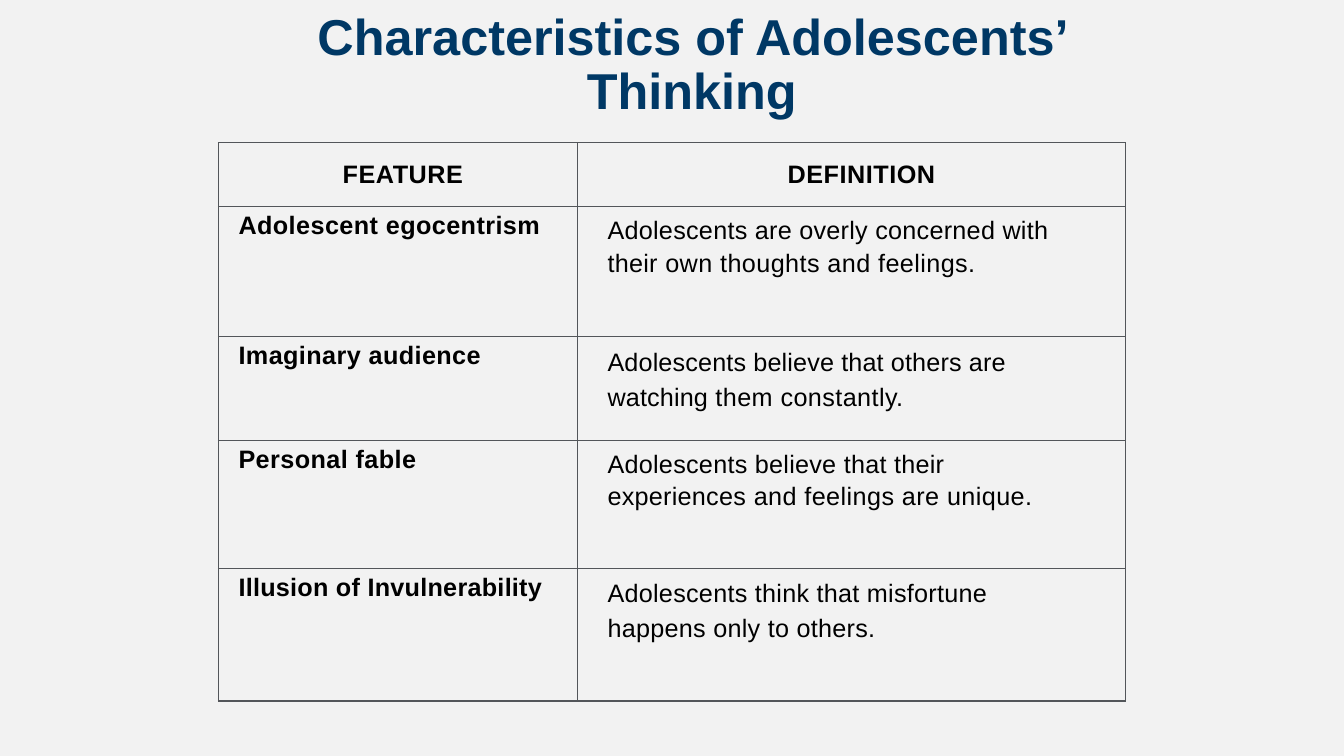
from lxml import etree
from pptx import Presentation
from pptx import util as u
from pptx.dml.color import RGBColor
from pptx.enum import text
from pptx.oxml.ns import qn

Pt = u.Pt
COLORS = {"bg": "F2F2F2", "title": "003865", "ink": "000000", "border": "53565A"}
COL_WIDTHS = [256.4, 391.6]
ROW_HEIGHTS = [45.6, 92.9, 74.5, 91.5, 94.4]
INDENTS = [7.2, 14.4]
HEADERS = ["FEATURE", "DEFINITION"]
FEATURES = [
    ("Adolescent egocentrism", 0.3, 1.18,
     [("Adolescents are overly concerned with their ", 0.2),
      ("own thoughts and feelings.", 0.3)]),
    ("Imaginary audience", 0.3, 1.25,
     [("Adolescents believe that others are watching ", 0.1),
      ("them constantly.", 0.3)]),
    ("Personal fable", 0.3, 1.16,
     [("Adolescents believe that their experiences ", 0.2),
      ("and feelings are unique.", 0.3)]),
    ("Illusion of Invulnerability", 0.2, 1.22,
     [("Adolescents think that misfortune happens only to others.", 0.2)]),
]


def rgb(name):
    return RGBColor.from_string(COLORS[name])


def add_run(p, words, size=18, color="ink", bold=False, spacing=0):
    r = p.add_run()
    r.text = words
    r.font.name = "Arial"
    r.font.size = Pt(size)
    r.font.bold = bold
    r.font.color.rgb = rgb(color)
    if spacing:
        r._r.get_or_add_rPr().set("spc", str(round(spacing * 100)))


def add_title(s, words):
    sp = s.shapes.title
    sp.left, sp.top, sp.width, sp.height = Pt(210.2), Pt(5.8), Pt(568), Pt(82.8)
    tf = sp.text_frame
    tf.word_wrap = True
    tf.auto_size = text.MSO_AUTO_SIZE.NONE
    tf.vertical_anchor = text.MSO_ANCHOR.MIDDLE
    p = tf.paragraphs[0]
    p.alignment = text.PP_ALIGN.CENTER
    p.line_spacing = 0.9
    add_run(p, words, size=36, color="title", bold=True)


def set_borders(cell):
    tcPr = cell._tc.get_or_add_tcPr()
    for i, side in enumerate(("lnL", "lnR", "lnT", "lnB")):
        ln = etree.Element(qn("a:" + side), w=str(Pt(1)))
        fill = etree.SubElement(ln, qn("a:solidFill"))
        etree.SubElement(fill, qn("a:srgbClr"), val=COLORS["border"])
        tcPr.insert(i, ln)


def fill_cell(cell, runs, indent, bold=False, header=False, line_spacing=None):
    cell.fill.background()
    set_borders(cell)
    p = cell.text_frame.paragraphs[0]
    pPr = p._p.get_or_add_pPr()
    pPr.set("marL", str(Pt(indent)))
    pPr.set("indent", "0")
    p.alignment = text.PP_ALIGN.CENTER if header else text.PP_ALIGN.LEFT
    cell.vertical_anchor = text.MSO_ANCHOR.MIDDLE if header else text.MSO_ANCHOR.TOP
    if line_spacing:
        p.line_spacing = line_spacing
    for words, spacing in runs:
        add_run(p, words, bold=bold, spacing=spacing)


def add_feature_table(s):
    frame = s.shapes.add_table(len(ROW_HEIGHTS), len(COL_WIDTHS), Pt(156), Pt(101.9),
                               Pt(sum(COL_WIDTHS)), Pt(sum(ROW_HEIGHTS)))
    table = frame.table
    table.first_row = table.horz_banding = False
    for col, width in zip(table.columns, COL_WIDTHS):
        col.width = Pt(width)
    for row, height in zip(table.rows, ROW_HEIGHTS):
        row.height = Pt(height)
    for i, words in enumerate(HEADERS):
        fill_cell(table.cell(0, i), [(words, 0.4)], INDENTS[i], bold=True, header=True)
    for i, (feature, spacing, line_spacing, definition) in enumerate(FEATURES, 1):
        fill_cell(table.cell(i, 0), [(feature, spacing)], INDENTS[0], bold=True)
        cell = table.cell(i, 1)
        cell.margin_right = Pt(36)
        fill_cell(cell, definition, INDENTS[1], line_spacing=line_spacing)


def main():
    prs = Presentation()
    prs.slide_width, prs.slide_height = Pt(960), Pt(540)
    s = prs.slides.add_slide(prs.slide_layouts[5])
    s.background.fill.solid()
    s.background.fill.fore_color.rgb = rgb("bg")
    add_title(s, "Characteristics of Adolescents’ Thinking")
    add_feature_table(s)
    prs.save("out.pptx")


if __name__ == "__main__":
    main()
